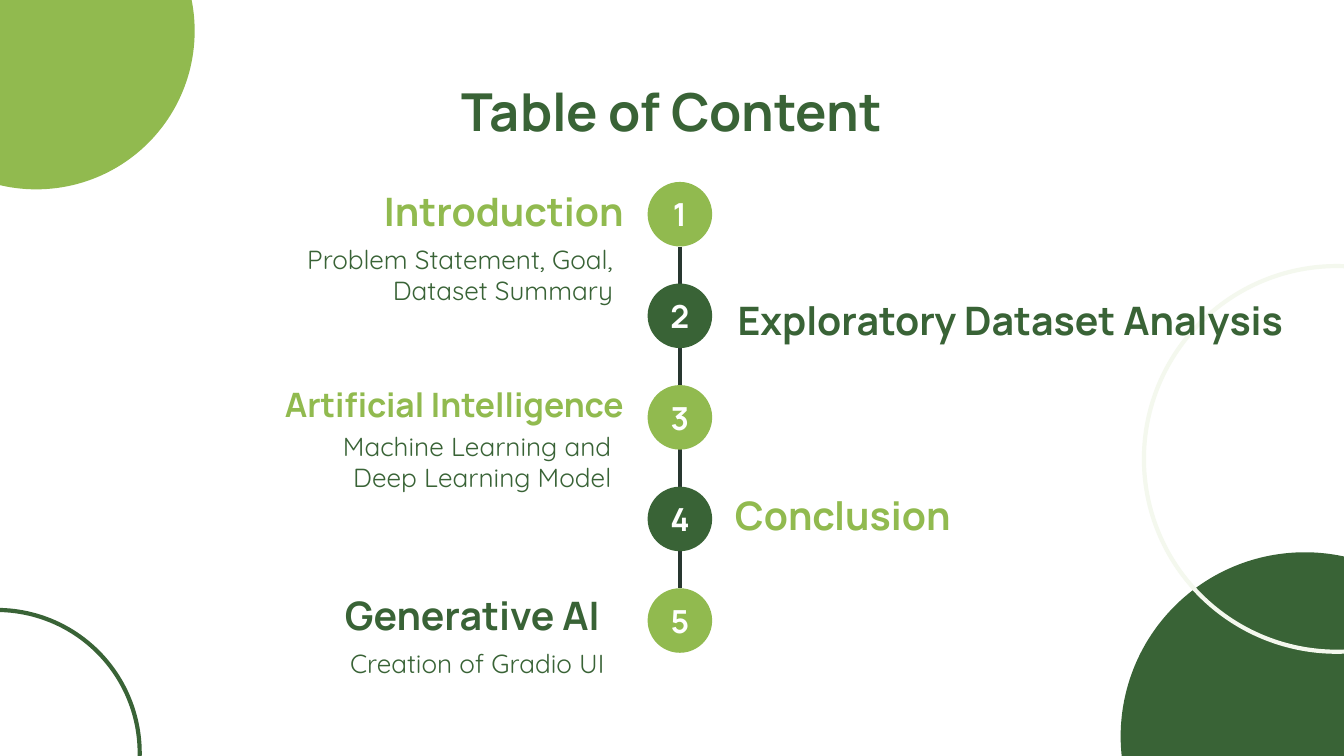
from dataclasses import dataclass

from lxml.etree import SubElement
from pptx import Presentation
from pptx.dml.color import RGBColor
from pptx.enum.shapes import MSO_CONNECTOR as Connector, MSO_SHAPE as Shape
from pptx.enum.text import MSO_ANCHOR as Anchor, PP_ALIGN as Align
from pptx.oxml.ns import qn
from pptx.util import Cm, Pt


@dataclass(frozen=True)
class Theme:
    dark: RGBColor = RGBColor.from_string("396336")
    light: RGBColor = RGBColor.from_string("91BA4F")
    pale: RGBColor = RGBColor.from_string("F4F8EE")
    line: RGBColor = RGBColor.from_string("283730")
    white: RGBColor = RGBColor.from_string("FFFFFF")
    head_font: str = "Manrope"
    body_font: str = "Quicksand"
    title_size: float = 28
    head_size: float = 21
    small_head_size: float = 18
    number_size: float = 17
    body_size: float = 14
    stroke: float = 2.25


THEME = Theme()
BADGE_LEFT, BADGE_TOP, BADGE_SIZE, BADGE_STEP = 12.24, 3.44, 1.22, 1.92
BADGE_COUNT = 5


def write(sp, text, size, color, align, font=THEME.head_font, bold=True,
          anchor=Anchor.TOP, inset=(0.25, 0.25)):
    tf = sp.text_frame
    tf.word_wrap = True
    tf.vertical_anchor = anchor
    tf.margin_left = tf.margin_right = Cm(inset[0])
    tf.margin_top = tf.margin_bottom = Cm(inset[1])
    p = tf.paragraphs[0]
    p.alignment = align
    r = p.add_run()
    r.text = text
    r.font.name = font
    r.font.size = Pt(size)
    r.font.bold = bold
    r.font.color.rgb = color


def add_circle(s, left, top, size, fill=None, stroke=None):
    sp = s.shapes.add_shape(Shape.OVAL, Cm(left), Cm(top), Cm(size), Cm(size))
    sp.shadow.inherit = False
    if fill is None:
        sp.fill.background()
    else:
        sp.fill.solid()
        sp.fill.fore_color.rgb = fill
    if stroke is None:
        sp.line.fill.background()
    else:
        sp.line.color.rgb = stroke
        sp.line.width = Pt(THEME.stroke)
    return sp


def add_decor(s):
    add_circle(s, 21.18, 10.44, 6.96, fill=THEME.dark)
    add_circle(s, -2.31, -2.41, 5.99, fill=THEME.light)
    add_circle(s, -2.77, 11.53, 5.41, stroke=THEME.dark)
    add_circle(s, 21.62, 5.03, 7.29, stroke=THEME.pale)


def add_title(s, text):
    sp = s.shapes.title
    sp.left, sp.top, sp.width, sp.height = Cm(0.86), Cm(1.24), Cm(23.67), Cm(1.6)
    write(sp, text, THEME.title_size, THEME.dark, Align.CENTER)


def add_heading(s, box, text, color, align=Align.LEFT, size=THEME.head_size):
    sp = s.shapes.add_textbox(*map(Cm, box))
    write(sp, text, size, color, align)


def add_description(s, box, text):
    sp = s.shapes.add_textbox(*map(Cm, box))
    write(sp, text, THEME.body_size, THEME.dark, Align.RIGHT,
          font=THEME.body_font, bold=False, inset=(0.2, 0.1))


def add_timeline(s):
    x = Cm(BADGE_LEFT + BADGE_SIZE / 2)
    start = Cm(BADGE_TOP + BADGE_SIZE)
    end = Cm(BADGE_TOP + (BADGE_COUNT - 1) * BADGE_STEP)
    line = s.shapes.add_connector(Connector.STRAIGHT, x, start, x, end)
    line.line.color.rgb = THEME.line
    line.line.width = Pt(THEME.stroke)
    SubElement(line._element.spPr, qn("a:effectLst"))
    for i in range(BADGE_COUNT):
        fill = THEME.dark if i % 2 else THEME.light
        badge = add_circle(s, BADGE_LEFT, BADGE_TOP + i * BADGE_STEP, BADGE_SIZE, fill=fill)
        write(badge, str(i + 1), THEME.number_size, THEME.white, Align.CENTER,
              anchor=Anchor.MIDDLE)


def main():
    prs = Presentation()
    prs.slide_width, prs.slide_height = Cm(25.4), Cm(14.29)
    s = prs.slides.add_slide(prs.slide_layouts[5])
    add_decor(s)
    add_title(s, "Table of Content")
    add_timeline(s)

    add_heading(s, (5.08, 3.3, 6.96, 1.17), "Introduction", THEME.light, Align.RIGHT)
    add_description(s, (4.83, 4.5, 6.96, 1.6), "Problem Statement, Goal, Dataset Summary")
    add_heading(s, (13.69, 5.36, 11.53, 1.6), "Exploratory Dataset Analysis", THEME.dark)
    add_heading(s, (-1.93, 7.01, 13.97, 2.46), "Artificial Intelligence", THEME.light,
                Align.RIGHT, THEME.small_head_size)
    add_description(s, (6.15, 8.03, 5.61, 1.45), "Machine Learning and Deep Learning Model")
    add_heading(s, (13.64, 9.04, 6.96, 1.17), "Conclusion", THEME.light)
    add_heading(s, (6.27, 10.92, 6.96, 1.17), "Generative AI", THEME.dark)
    add_description(s, (6.27, 12.14, 5.36, 1.45), "Creation of Gradio UI")
    prs.save("out.pptx")


if __name__ == "__main__":
    main()
